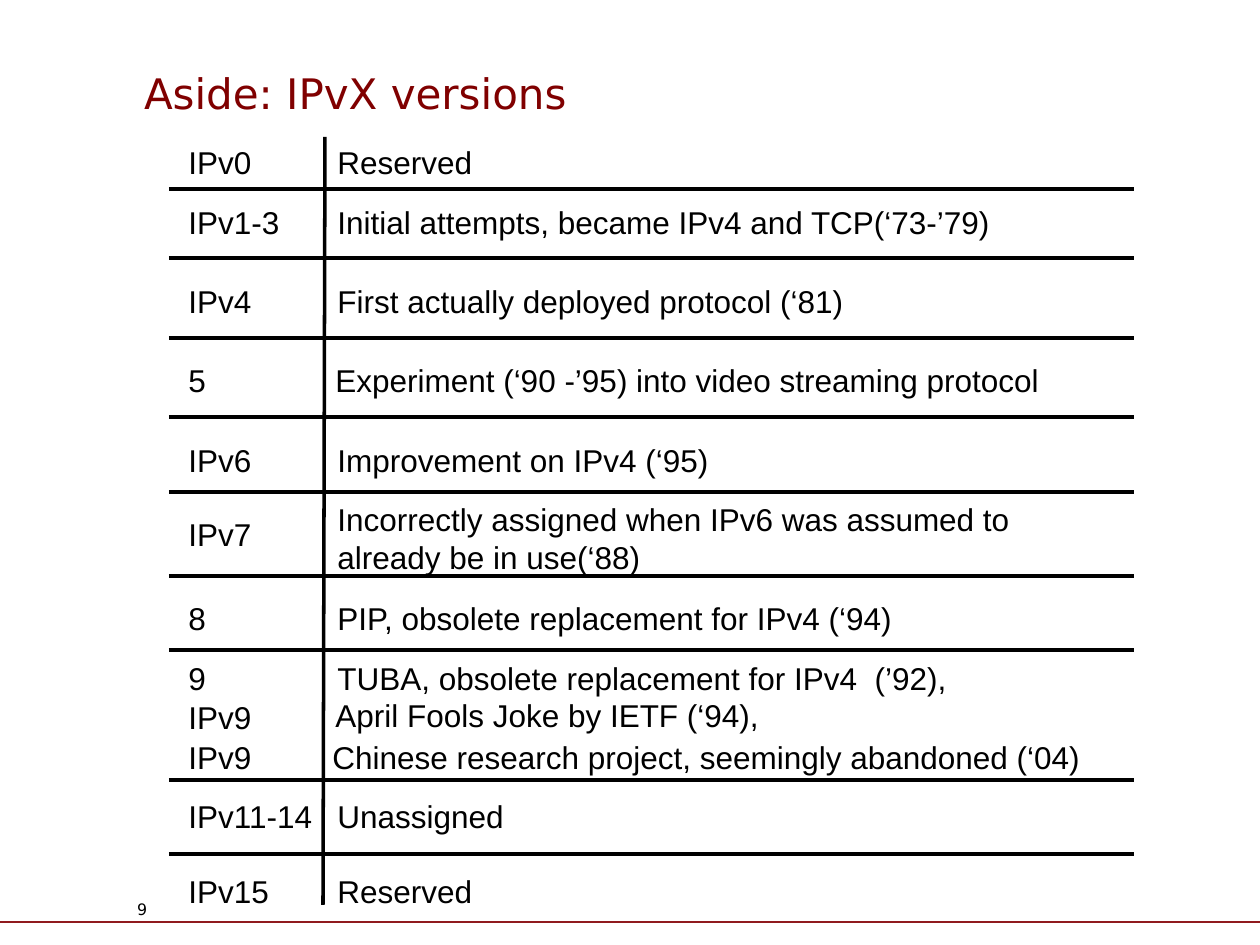
from dataclasses import dataclass

from lxml.etree import SubElement
from pptx import Presentation
from pptx.dml.color import RGBColor
from pptx.enum.shapes import MSO_CONNECTOR
from pptx.enum.text import MSO_ANCHOR, MSO_AUTO_SIZE
from pptx.oxml.ns import qn
from pptx.slide import Slide
from pptx.util import Emu, Pt


@dataclass(frozen=True)
class Theme:
    ink: str = "000000"
    title: str = "800000"
    rule: str = "901A1E"
    head_font: str = "DejaVu Sans"
    body_font: str = "Arial"
    head_size: int = 24
    body_size: int = 18
    page_size: int = 9


@dataclass(frozen=True)
class Entry:
    top: int
    name: str
    note: str
    left: int = 325   # left edge of the note
    wide: int = 762   # width of the note
    lift: int = 0     # how far the note sits above the name
    tall: int = 48    # height of the name box
    deep: int = 48    # height of the note box
    span: int = 139   # width of the name box


THEME = Theme()
SCALE = 914400 / 126  # EMU in one px

ENTRIES = [
    Entry(137, "IPv0", "Reserved"),
    Entry(197, "IPv1-3", "Initial attempts, became IPv4 and TCP(‘73-’79)", wide=809),
    Entry(276, "IPv4", "First actually deployed protocol (‘81)"),
    Entry(355, "5", "Experiment (‘90 -’95) into video streaming protocol",
          left=323, wide=834),
    Entry(435, "IPv6", "Improvement on IPv4 (‘95)"),
    Entry(509, "IPv7",
          "Incorrectly assigned when IPv6 was assumed to already be in use(‘88)",
          lift=15, deep=83),
    Entry(593, "8", "PIP, obsolete replacement for IPv4 (‘94)"),
    Entry(653, "9", "TUBA, obsolete replacement for IPv4  (’92),"),
    Entry(692, "IPv9", "April Fools Joke by IETF (‘94),", left=323, lift=2),
    Entry(732, "IPv9", "Chinese research project, seemingly abandoned (‘04)",
          left=320, wide=789),
    Entry(791, "IPv11-14", "Unassigned", wide=859, tall=83, deep=83, span=156),
    Entry(866, "IPv15", "Reserved"),
]
RULES = [189, 258, 338, 417, 492, 576, 650, 780, 854]


def px(num: int) -> Emu:
    return Emu(round(num * SCALE))


def add_text(slide: Slide, text: str, left: int, top: int, wide: int, tall: int, *,
             size: int = THEME.body_size, font: str = THEME.body_font,
             color: str = THEME.ink, anchor: MSO_ANCHOR = MSO_ANCHOR.TOP,
             inset: bool = True) -> None:
    box = slide.shapes.add_textbox(px(left), px(top), px(wide), px(tall))
    frame = box.text_frame
    frame.word_wrap = True
    frame.vertical_anchor = anchor
    if inset:
        frame.auto_size = MSO_AUTO_SIZE.SHAPE_TO_FIT_TEXT
    else:
        frame.margin_left = frame.margin_right = 0
        frame.margin_top = frame.margin_bottom = 0
    run = frame.paragraphs[0].add_run()
    run.text = text
    run.font.size = Pt(size)
    run.font.name = font
    run.font.color.rgb = RGBColor.from_string(color)


def add_line(slide: Slide, x1: int, y1: int, x2: int, y2: int,
             color: str = THEME.ink, width: float = 0) -> None:
    line = slide.shapes.add_connector(
        MSO_CONNECTOR.STRAIGHT, px(x1), px(y1), px(x2), px(y2))
    line.line.color.rgb = RGBColor.from_string(color)
    line.line.width = Pt(width)
    SubElement(line._element.spPr, qn("a:effectLst"))


def add_entry(slide: Slide, entry: Entry) -> None:
    add_text(slide, entry.name, 176, entry.top, entry.span, entry.tall)
    add_text(slide, entry.note, entry.left, entry.top - entry.lift,
             entry.wide, entry.deep)


def main() -> None:
    deck = Presentation()
    deck.slide_width, deck.slide_height = px(1260), px(945)
    slide = deck.slides.add_slide(deck.slide_layouts[6])

    # Footer rule, title and page number
    add_line(slide, 1260, 922, 0, 922, THEME.rule, 0.75)
    add_text(slide, "Aside: IPvX versions", 144, 39, 927, 79, size=THEME.head_size,
             font=THEME.head_font, color=THEME.title,
             anchor=MSO_ANCHOR.BOTTOM, inset=False)
    add_text(slide, "9", 137, 900, 294, 20, size=THEME.page_size,
             font=THEME.head_font, inset=False)

    # Slightly slanted divider and the rules between versions
    add_line(slide, 325, 137, 323, 905)
    for top in RULES:
        add_line(slide, 169, top, 1134, top)

    # Versions and their notes
    for entry in ENTRIES:
        add_entry(slide, entry)

    deck.save("out.pptx")


if __name__ == "__main__":
    main()
